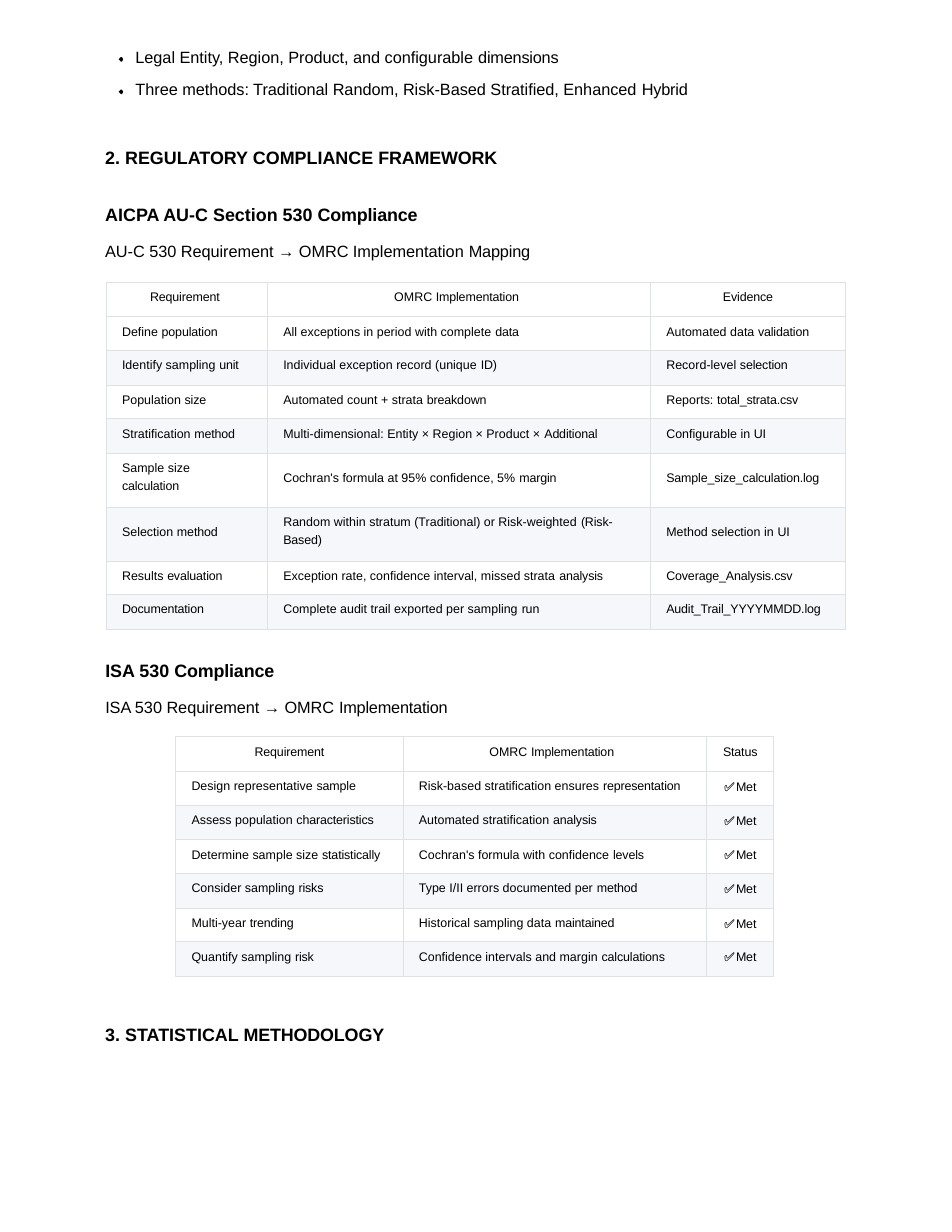
from dataclasses import dataclass

from lxml import etree
from pptx import Presentation
from pptx.dml.color import RGBColor
from pptx.enum.text import PP_ALIGN
from pptx.oxml.ns import qn
from pptx.util import Inches, Pt

CENTER = PP_ALIGN.CENTER
HUES = {"ink": "000000", "band": "F5F7FA", "plain": "FFFFFF", "rule": "DEE2E4"}
COLS, ROWS = 850, 1100  # page grid, one cell is 1/100 inch
MARK = "✅"


@dataclass
class Line:
    text: str
    size: float = 10.5
    bold: bool = False
    gap: float = 0  # points above
    dent: int = 1  # grid columns


@dataclass
class Box:
    col: int
    row: int
    wide: int
    high: int
    inset: int
    lines: list[Line]


@dataclass
class Grid:
    col: int
    row: int
    cols: list[int]
    dents: list  # header indents, None is centred
    mid: list[int]  # columns with centred bodies
    wraps: set  # cells that run over two lines
    data: list[str]


def unit(n: float) -> int:
    return Inches(n / 100)


def hue(name: str) -> RGBColor:
    return RGBColor.from_string(HUES[name])


def add_run(para, text: str, size: float, bold: bool, track: float, face: str = "Arial") -> None:
    run = para.add_run()
    run.text = text
    font = run.font
    font.name, font.size, font.bold = face, Pt(size), bold
    font.color.rgb = hue("ink")
    run._r.get_or_add_rPr().set("spc", str(round(track * 100)))


def write(para, text: str, size: float, bold: bool = False) -> None:
    """Set the last word a little tighter than the words before it."""
    head, space, tail = text.rpartition(" ")
    if head == MARK:
        add_run(para, head + space, size, bold, -1.1, "Cabin")
    elif head:
        add_run(para, head + space, size, bold, 0)
    add_run(para, tail, size, bold, -0.1)


def draw_box(slide, box: Box) -> None:
    shape = slide.shapes.add_textbox(*map(unit, (box.col, box.row, box.wide, box.high)))
    frame = shape.text_frame
    frame.word_wrap = True
    frame.margin_left = frame.margin_right = frame.margin_bottom = 0
    frame.margin_top = unit(box.inset)
    for i, line in enumerate(box.lines):
        para = frame.add_paragraph() if i else frame.paragraphs[0]
        para.space_before = Pt(line.gap)
        para._p.get_or_add_pPr().set("marL", str(unit(line.dent)))
        write(para, line.text, line.size, line.bold)


def draw_dot(slide, col: int, row: int) -> None:
    pen = slide.shapes.build_freeform(3, 4, scale=unit(1))
    pen.add_line_segments([(2, 4), (0, 2), (2, 0), (3, 0), (4, 2)], close=True)
    dot = pen.convert_to_shape(unit(col), unit(row))
    dot.shadow.inherit = False
    dot.fill.solid()
    dot.fill.fore_color.rgb = hue("ink")
    dot.line.fill.background()


def add_rules(cell) -> None:
    props = cell._tc.get_or_add_tcPr()
    for i, side in enumerate(("lnL", "lnR", "lnT", "lnB")):
        rule = etree.Element(qn(f"a:{side}"), w=str(Pt(0.75)))
        fill = etree.SubElement(rule, qn("a:solidFill"))
        etree.SubElement(fill, qn("a:srgbClr"), val=HUES["rule"])
        props.insert(i, rule)


def draw_grid(slide, grid: Grid) -> None:
    tall = {r for r, _ in grid.wraps}
    highs = [48 if r in tall else 31 - r % 2 for r in range(len(grid.data))]
    frame = slide.shapes.add_table(len(highs), len(grid.cols), *map(
        unit, (grid.col, grid.row, sum(grid.cols), sum(highs))))
    table = frame.table
    table.first_row = table.horz_banding = False
    for c, wide in enumerate(grid.cols):
        table.columns[c].width = unit(wide)
    for r, (high, texts) in enumerate(zip(highs, grid.data)):
        table.rows[r].height = unit(high)
        for c, text in enumerate(texts.split(" | ")):
            cell = table.cell(r, c)
            para = cell.text_frame.paragraphs[0]
            wrap = (r, c) in grid.wraps
            dent = grid.dents[c] if r == 0 else None if c in grid.mid else 14
            if dent is None:
                para.alignment = CENTER
            cell.margin_left = unit(dent or 0)
            cell.margin_right = unit(20 if wrap else 0)
            cell.margin_top = unit(4 if wrap else 16 if r in tall else 7)
            cell.margin_bottom = 0
            if wrap:
                para.line_spacing = 1.25
            write(para, text, 8)
            cell.fill.solid()
            cell.fill.fore_color.rgb = hue("band" if r and r % 2 == 0 else "plain")
            add_rules(cell)


# Section texts
BOXES = [
    Box(93, 41, 527, 194, 1, [
        Line("Legal Entity, Region, Product, and configurable dimensions", dent=28),
        Line("Three methods: Traditional Random, Risk-Based Stratified, Enhanced Hybrid",
             gap=8.4, dent=28),
        Line("2. REGULATORY COMPLIANCE FRAMEWORK", 11.5, True, 30.6),
        Line("AICPA AU-C Section 530 Compliance", 11.5, True, 22.9),
        Line("AU-C 530 Requirement → OMRC Implementation Mapping", gap=10.4),
    ]),
    Box(93, 587, 312, 54, 2, [
        Line("ISA 530 Compliance", 11.5, True),
        Line("ISA 530 Requirement → OMRC Implementation", gap=10.4),
    ]),
    Box(93, 912, 260, 23, 2, [Line("3. STATISTICAL METHODOLOGY", 11.5, True)]),
]

# Compliance tables
GRIDS = [
    Grid(95, 252, [144, 342, 174], [39, 113, None], [], {(5, 0), (6, 1)}, [
        "Requirement | OMRC Implementation | Evidence",
        "Define population | All exceptions in period with complete data | Automated data validation",
        "Identify sampling unit | Individual exception record (unique ID) | Record-level selection",
        "Population size | Automated count + strata breakdown | Reports: total_strata.csv",
        "Stratification method | Multi-dimensional: Entity × Region × Product × Additional"
        " | Configurable in UI",
        "Sample size calculation | Cochran's formula at 95% confidence, 5% margin"
        " | Sample_size_calculation.log",
        "Selection method | Random within stratum (Traditional) or Risk-weighted (Risk-Based)"
        " | Method selection in UI",
        "Results evaluation | Exception rate, confidence interval, missed strata analysis"
        " | Coverage_Analysis.csv",
        "Documentation | Complete audit trail exported per sampling run | Audit_Trail_YYYYMMDD.log",
    ]),
    Grid(157, 658, [203, 271, 60], [None, 77, None], [2], set(), [
        "Requirement | OMRC Implementation | Status",
        *(f"{line} | {MARK} Met" for line in (
            "Design representative sample | Risk-based stratification ensures representation",
            "Assess population characteristics | Automated stratification analysis",
            "Determine sample size statistically | Cochran's formula with confidence levels",
            "Consider sampling risks | Type I/II errors documented per method",
            "Multi-year trending | Historical sampling data maintained",
            "Quantify sampling risk | Confidence intervals and margin calculations",
        )),
    ]),
]


def main() -> None:
    deck = Presentation()
    deck.slide_width, deck.slide_height = unit(COLS), unit(ROWS)
    slide = deck.slides.add_slide(deck.slide_layouts[6])
    for grid in GRIDS:
        draw_grid(slide, grid)
    for row in (51, 80):
        draw_dot(slide, 106, row)
    for box in BOXES:
        draw_box(slide, box)
    deck.save("out.pptx")


if __name__ == "__main__":
    main()
